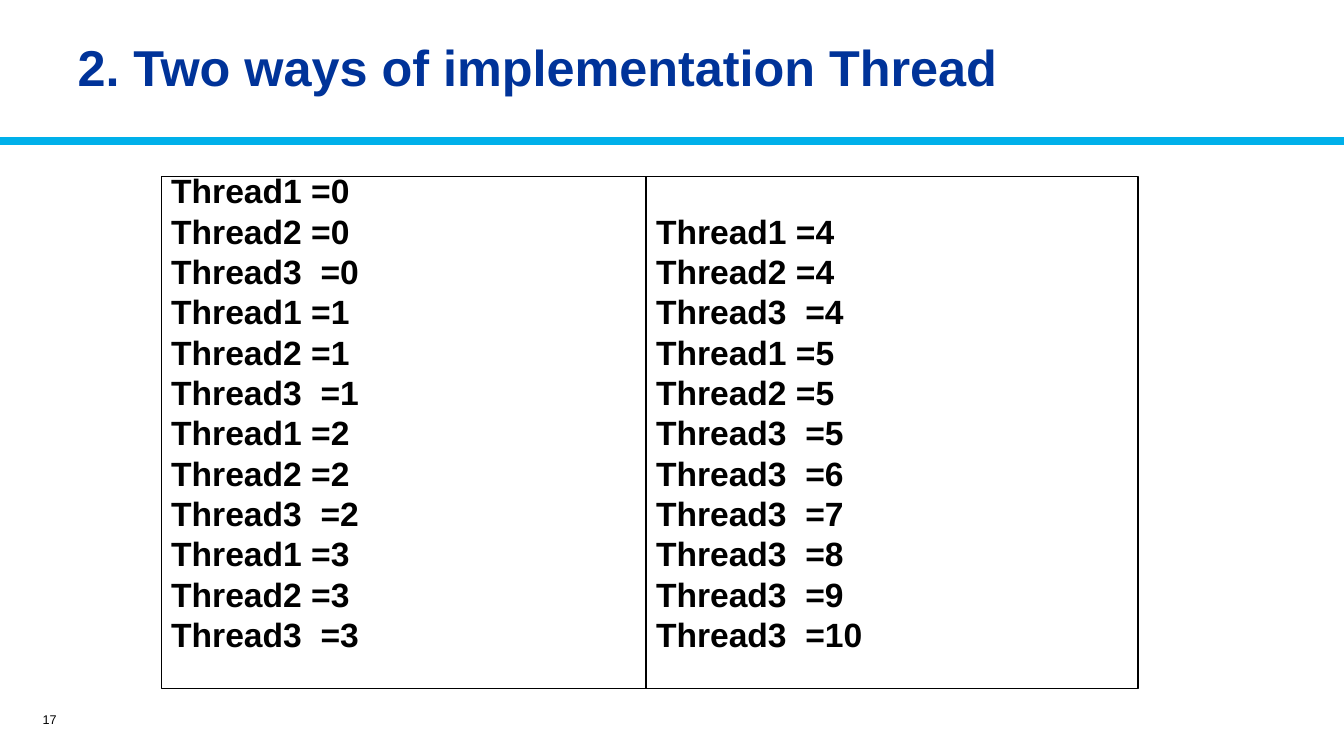
import pptx
import pptx.util
import pptx.dml.color
import pptx.enum.shapes
import pptx.enum.text
from lxml import etree

Pt = pptx.util.Pt
ALIGN = pptx.enum.text.PP_ALIGN
MIDDLE = pptx.enum.text.MSO_ANCHOR.MIDDLE
COLOURS = {"title": "003399", "rule": "00B0EA", "text": "000000", "panel": "FFFFFF"}
LABELS = {1: "Thread1 =", 2: "Thread2 =", 3: "Thread3  ="}
LINE_PITCH = 28.8


def colour(name):
    """Return the named colour."""
    return pptx.dml.color.RGBColor.from_string(COLOURS[name])


def style(paragraph, size, name, bold=False, align=ALIGN.LEFT):
    """Set the font and alignment of a paragraph."""
    paragraph.alignment = align
    font = paragraph.font
    font.name, font.size, font.bold = "Arial", Pt(size), bold
    font.color.rgb = colour(name)


def add_header(slide, left, top, width, height):
    """Place the title and the rule across the slide below it."""
    title = slide.shapes.title
    title.left, title.top, title.width, title.height = map(Pt, (left, top, width, height))
    title.text_frame.text = "2. Two ways of implementation Thread"
    title.text_frame.vertical_anchor = MIDDLE
    heading = title.text_frame.paragraphs[0]
    heading.line_spacing = 0.9
    style(heading, 36, "title", bold=True)

    rule_y = Pt(top + height + 10.8)
    rule = slide.shapes.add_connector(
        pptx.enum.shapes.MSO_CONNECTOR.STRAIGHT, 0, rule_y, Pt(960), rule_y)
    rule.line.color.rgb = colour("rule")
    rule.line.width = Pt(6)
    etree.SubElement(rule.element.spPr, pptx.oxml.ns.qn("a:effectLst"))


def add_output_panel(slide, left, top, width, height, output, space_below=0):
    """Place one bordered panel of thread output."""
    panel = slide.shapes.add_shape(
        pptx.enum.shapes.MSO_SHAPE.RECTANGLE, *map(Pt, (left, top, width, height)))
    panel.shadow.inherit = False
    panel.fill.solid()
    panel.fill.fore_color.rgb = colour("panel")
    panel.line.color.rgb = colour("text")
    panel.line.width = Pt(1)
    frame = panel.text_frame
    frame.word_wrap = True
    frame.vertical_anchor = MIDDLE
    frame.margin_bottom = Pt(3.6 + space_below)
    frame.text = "\n".join(f"{LABELS[thread]}{count}" for thread, count in output)
    for paragraph in frame.paragraphs:
        paragraph.line_spacing = Pt(LINE_PITCH)
        style(paragraph, 24, "text", bold=True)


def add_page_number(slide, left, top, width, height):
    """Place the page number."""
    page_number = slide.shapes.add_textbox(*map(Pt, (left, top, width, height)))
    frame = page_number.text_frame
    frame.word_wrap = True
    frame.vertical_anchor = MIDDLE
    frame.text = "17"
    style(frame.paragraphs[0], 9, "text", align=ALIGN.RIGHT)


def main():
    """Build and save the slide."""
    deck = pptx.Presentation()
    deck.slide_width, deck.slide_height = Pt(960), Pt(540)
    slide = deck.slides.add_slide(deck.slide_layouts[5])

    first_output = [(thread, count) for count in range(4) for thread in LABELS]
    last_output = [(thread, count) for count in (4, 5) for thread in LABELS]
    last_output += [(3, count) for count in range(6, 11)]

    add_header(slide, 48.2, 10.1, 865.4, 79.9)
    add_page_number(slide, 6.5, 503.3, 41, 21.6)
    add_output_panel(slide, 115.2, 126, 346.3, 365.8, first_output, LINE_PITCH)
    add_output_panel(slide, 461.5, 126, 351.4, 365.8, last_output)
    deck.save("out.pptx")


if __name__ == "__main__":
    main()
